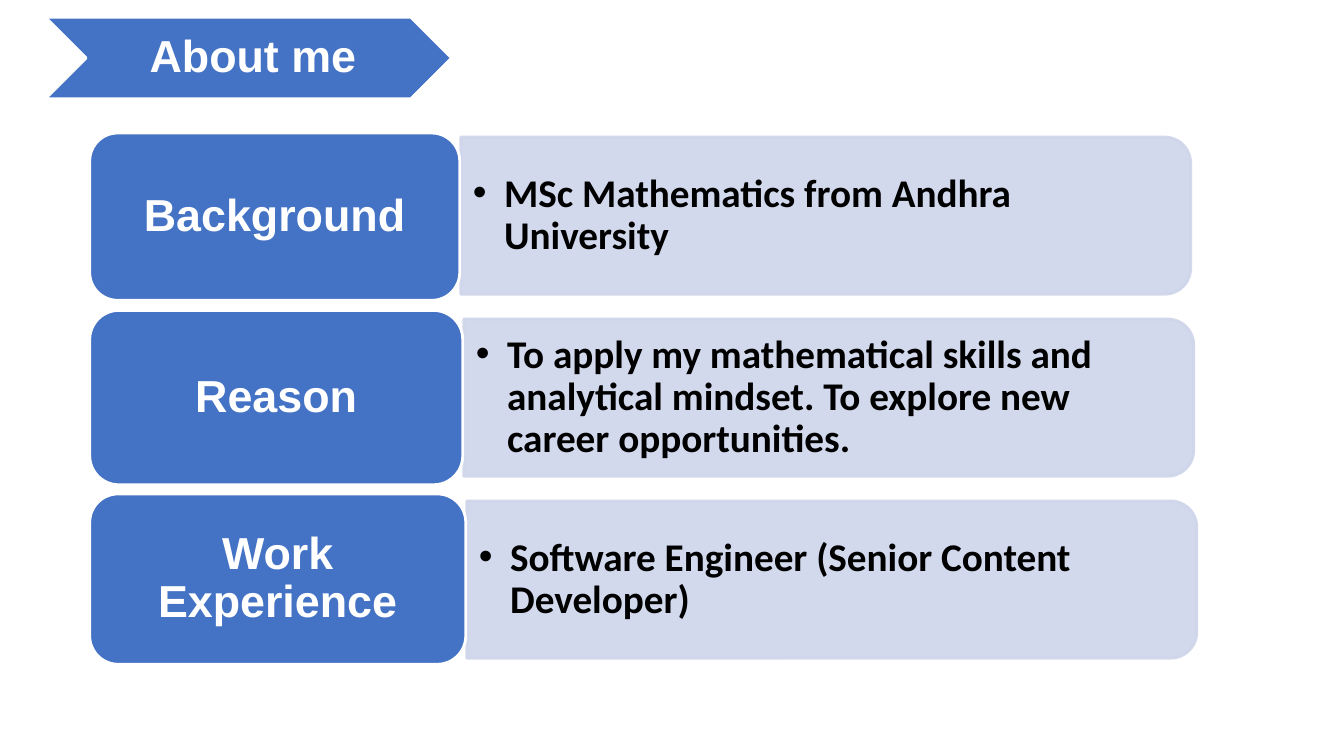
from lxml.etree import SubElement
from pptx import Presentation
from pptx.dml.color import RGBColor
from pptx.enum.shapes import MSO_SHAPE
from pptx.enum.text import MSO_ANCHOR, PP_ALIGN
from pptx.oxml.ns import qn
from pptx.util import Inches, Pt

# Content: label, label top, label height, detail
TITLE = "About me"
ROWS = [
    ("Background", 1.32, 1.66, "MSc Mathematics from Andhra University"),
    ("Reason", 3.08, 1.73,
     "To apply my mathematical skills and analytical mindset. "
     "To explore new career opportunities."),
    ("Work Experience", 4.9, 1.69, "Software Engineer (Senior Content Developer)"),
]

THEME = {
    "blue": "4472C4", "pale": "CFD5EA", "white": "FFFFFF", "black": "000000",
    "label_font": "Arial", "detail_font": "Calibri",
    "label_size": 32, "detail_size": 28, "outline": 2,
}

# Layout in inches
LABEL_LEFT, LABEL_WIDTH = 0.89, 3.67
PANEL_LEFT, PANEL_TOP = 4.57, 1.36
PANEL_WIDTH, PANEL_HEIGHT = 7.24, 1.56
DETAIL_WIDTH, DETAIL_HEIGHT = 7.17, 1.41
ROW_STEP, ROW_SHIFT = 1.805, 0.03
BULLET_INDENT = 0.31


def color(name):
    return RGBColor.from_string(THEME[name])


def add_box(slide, preset, left, top, width, height, fill, line):
    shape = slide.shapes.add_shape(
        preset, Inches(left), Inches(top), Inches(width), Inches(height))
    shape.shadow.inherit = False
    shape.fill.solid()
    shape.fill.fore_color.rgb = color(fill)
    shape.line.color.rgb = color(line)
    shape.line.width = Pt(THEME["outline"])
    return shape


def write_text(shape, text, *, font, size, ink, margins, align, bullet=False):
    frame = shape.text_frame
    frame.word_wrap = True
    frame.vertical_anchor = MSO_ANCHOR.MIDDLE
    (frame.margin_left, frame.margin_top,
     frame.margin_right, frame.margin_bottom) = map(Inches, margins)
    paragraph = frame.paragraphs[0]
    paragraph.text = text
    paragraph.alignment = align
    paragraph.line_spacing = 0.9
    if bullet:
        properties = paragraph._p.get_or_add_pPr()
        properties.set("marL", str(Inches(BULLET_INDENT)))
        properties.set("indent", str(-Inches(BULLET_INDENT)))
        SubElement(properties, qn("a:buFont"), typeface="Arial")
        SubElement(properties, qn("a:buChar"), char="•")
    run_font = paragraph.runs[0].font
    run_font.name = THEME[font]
    run_font.size = Pt(THEME[size])
    run_font.bold = True
    run_font.color.rgb = color(ink)


def write_label(shape, text, margins):
    write_text(shape, text, font="label_font", size="label_size", ink="white",
               margins=margins, align=PP_ALIGN.CENTER)


def add_panel(slide, left, top):
    # Turned a quarter so the rounded corners face right
    shape = add_box(slide, MSO_SHAPE.ROUND_2_SAME_RECTANGLE,
                    left + (PANEL_WIDTH - PANEL_HEIGHT) / 2,
                    top - (PANEL_WIDTH - PANEL_HEIGHT) / 2,
                    PANEL_HEIGHT, PANEL_WIDTH, "pale", "pale")
    shape.rotation = 90
    for tint in shape._element.spPr.iter(qn("a:srgbClr")):
        SubElement(tint, qn("a:alpha"), val="90000")


def add_row(slide, index, label, label_top, label_height, detail):
    shift = index * ROW_SHIFT
    left, top = PANEL_LEFT + shift, PANEL_TOP + index * ROW_STEP
    add_panel(slide, left, top)
    detail_box = slide.shapes.add_textbox(
        Inches(left), Inches(top + (PANEL_HEIGHT - DETAIL_HEIGHT) / 2),
        Inches(DETAIL_WIDTH), Inches(DETAIL_HEIGHT))
    write_text(detail_box, detail, font="detail_font", size="detail_size",
               ink="black", margins=(0.12, 0.06, 0.12, 0.06),
               align=PP_ALIGN.LEFT, bullet=True)
    label_box = add_box(slide, MSO_SHAPE.ROUNDED_RECTANGLE, LABEL_LEFT, label_top,
                        LABEL_WIDTH + shift, label_height, "blue", "white")
    write_label(label_box, label, (0.13, 0.07, 0.13, 0.07))


def main():
    presentation = Presentation()
    presentation.slide_width = Inches(13.33)
    presentation.slide_height = Inches(7.5)
    slide = presentation.slides.add_slide(presentation.slide_layouts[6])

    # Rows
    for index, row in enumerate(ROWS):
        add_row(slide, index, *row)

    # Title banner
    banner = add_box(slide, MSO_SHAPE.CHEVRON, 0.45, 0.17, 4.03, 0.81, "blue", "white")
    write_label(banner, TITLE, (0.13, 0.04, 0.04, 0.04))

    presentation.save("out.pptx")


if __name__ == "__main__":
    main()
